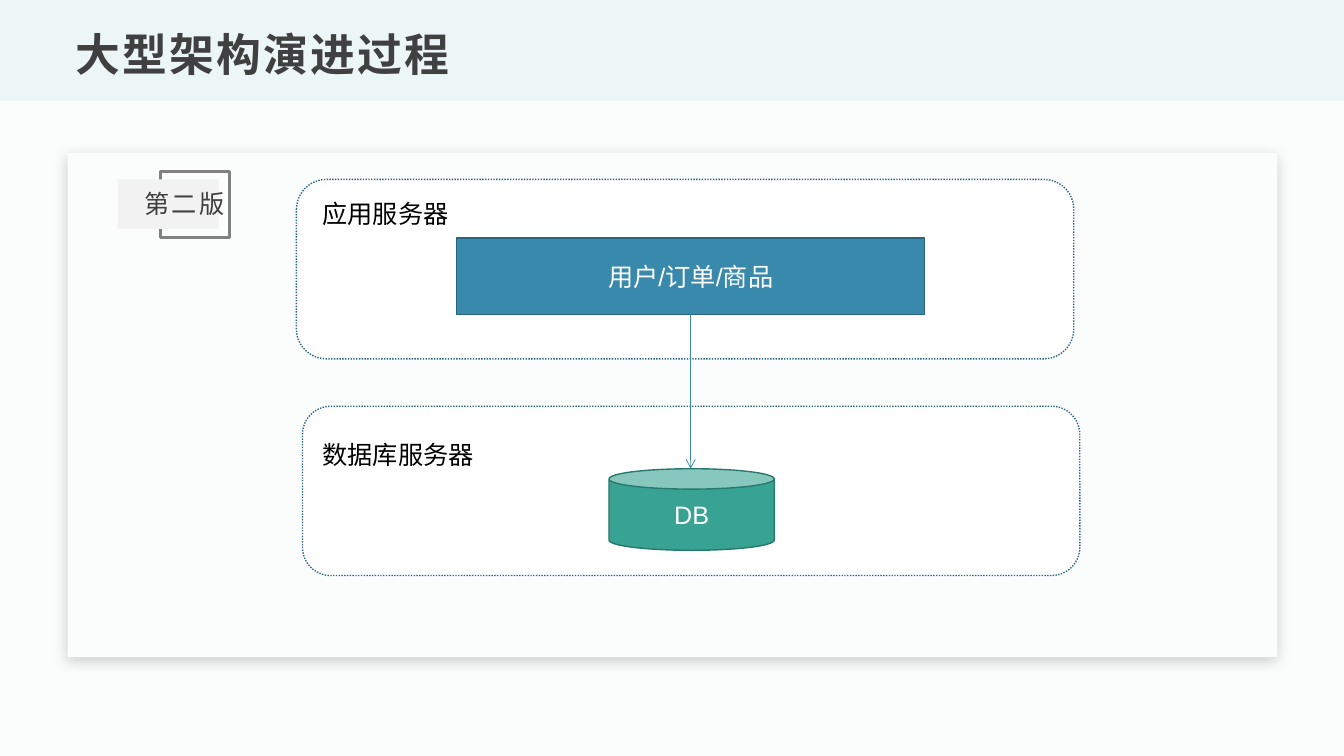
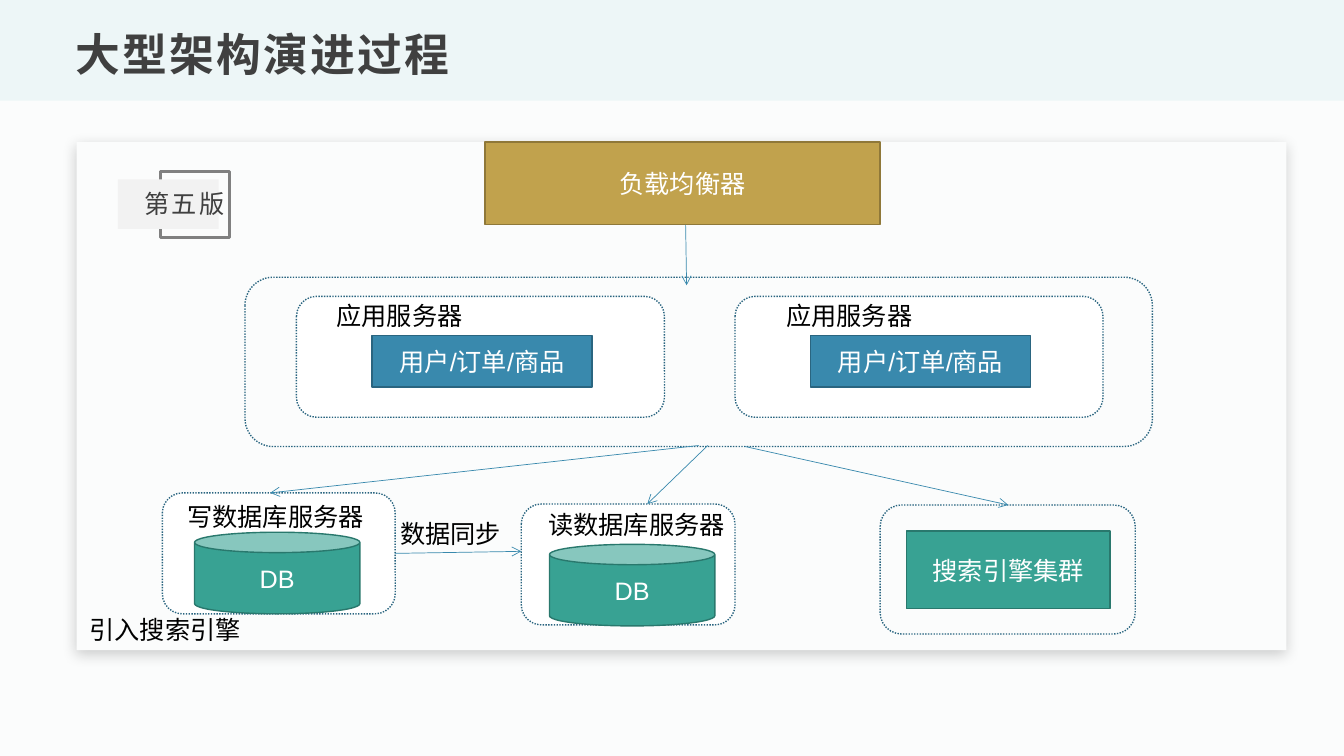
import pptx
import pptx.util
import pptx.dml.color
import pptx.enum.dml
import pptx.enum.shapes
import pptx.enum.text
import pptx.oxml
import pptx.oxml.ns

Inches, Pt = pptx.util.Inches, pptx.util.Pt
RGBColor = pptx.dml.color.RGBColor
SHAPE = pptx.enum.shapes.MSO_SHAPE
ANCHOR = pptx.enum.text.MSO_ANCHOR
FIT = pptx.enum.text.MSO_AUTO_SIZE
NS = pptx.oxml.ns.nsdecls("a")

BACKGROUND = RGBColor(0xFB, 0xFC, 0xFC)
BAND = RGBColor(0xED, 0xF6, 0xF7)
BADGE = RGBColor(0xF2, 0xF2, 0xF2)
GREY = RGBColor(0x80, 0x80, 0x80)
DARK = RGBColor(0x40, 0x40, 0x40)
BLACK = RGBColor(0x00, 0x00, 0x00)
WHITE = RGBColor(0xFF, 0xFF, 0xFF)
BLUE = RGBColor(0x39, 0x89, 0xAD)
BLUE_EDGE = RGBColor(0x2A, 0x65, 0x80)
GREEN = RGBColor(0x38, 0xA2, 0x93)
GREEN_EDGE = RGBColor(0x29, 0x78, 0x6D)
GOLD = RGBColor(0xC1, 0xA2, 0x4D)
GOLD_EDGE = RGBColor(0x8F, 0x78, 0x39)

# Style name: preset shape, fill, line colour, line width
STYLES = {
    "panel": (SHAPE.RECTANGLE, BACKGROUND, None, 0),
    "band": (SHAPE.RECTANGLE, BAND, None, 0),
    "badge frame": (SHAPE.RECTANGLE, None, GREY, 2),
    "badge": (SHAPE.RECTANGLE, BADGE, None, 0),
    "server": (SHAPE.ROUNDED_RECTANGLE, WHITE, BLUE_EDGE, 1),
    "cluster": (SHAPE.ROUNDED_RECTANGLE, None, BLUE_EDGE, 1),
    "app": (SHAPE.RECTANGLE, BLUE, BLUE_EDGE, 1),
    "balancer": (SHAPE.RECTANGLE, GOLD, GOLD_EDGE, 1),
    "search": (SHAPE.RECTANGLE, GREEN, GREEN_EDGE, 1),
    "db": (SHAPE.CAN, GREEN, GREEN_EDGE, 1),
}
SHADOW = (
    f'<a:effectLst {NS}><a:outerShdw blurRad="{Pt(10)}" dist="{Pt(3)}" dir="5400000" '
    'algn="t" rotWithShape="0"><a:srgbClr val="0D0D0D"><a:alpha val="20000"/>'
    '</a:srgbClr></a:outerShdw></a:effectLst>'
)

TITLE = "大型架构演进过程"
APP_TEXT = "用户/订单/商品"
DB_SIZE = (1.64, 0.81)

second = {
    "badge": "第二版",
    "panel": (0.67, 1.52, 12, 5),
    "shapes": [
        ("server", (2.94, 1.78, 7.71, 1.78), ""),
        ("server", (3, 4.03, 7.71, 1.68), ""),
        ("app", (4.53, 2.36, 4.64, 0.76), APP_TEXT),
        ("db", (6.04, 4.65, *DB_SIZE), "DB"),
    ],
    "arrows": [(6.85, 3.11, 6.85, 4.65)],
    "labels": [
        ("应用服务器", (3.1, 1.92, 2, 0.4)),
        ("数据库服务器", (3.1, 4.31, 1.94, 0.4)),
    ],
}
fifth = {
    "badge": "第五版",
    "panel": (0.76, 1.41, 12, 5.04),
    "shapes": [
        ("cluster", (2.43, 2.75, 9, 1.68), ""),
        ("balancer", (4.81, 1.41, 3.92, 0.82), "负载均衡器"),
        ("server", (5.17, 5, 2.12, 1.2), ""),
        ("db", (5.45, 5.4, *DB_SIZE), "DB"),
        ("server", (1.61, 4.89, 2.31, 1.2), ""),
        ("db", (1.93, 5.28, *DB_SIZE), "DB"),
        ("search", (8.99, 5.27, 2.02, 0.77), "搜索引擎集群"),
        ("cluster", (8.73, 5.01, 2.53, 1.28), ""),
    ],
    "arrows": [
        (6.8, 2.23, 6.81, 2.83),
        (6.93, 4.42, 2.68, 4.89),
        (7.02, 4.42, 6.42, 5),
        (7.39, 4.43, 10, 5.01),
        (3.92, 5.49, 5.17, 5.47),
    ],
    "labels": [
        ("引入搜索引擎", (0.79, 6.05, 11.76, 0.4)),
        ("读数据库服务器", (5.34, 5, 2.16, 0.4)),
        ("写数据库服务器", (1.76, 4.92, 2.16, 0.4)),
        ("数据同步", (3.87, 5.09, 1.3, 0.4)),
    ],
}
for server_left, label_left in ((2.94, 3.24), (7.29, 7.7)):
    fifth["shapes"] += [
        ("server", (server_left, 2.94, 3.65, 1.2), ""),
        ("app", (server_left + 0.75, 3.33, 2.18, 0.51), APP_TEXT),
    ]
    fifth["labels"].append(("应用服务器", (label_left, 2.93, 2, 0.4)))


def add_text(tf, text, color, size=18, font="Arial", bold=False, spacing=0):
    """Put one run into the first paragraph and return that paragraph."""
    p = tf.paragraphs[0]
    r = p.add_run()
    r.text = text
    r.font.size, r.font.name, r.font.bold = Pt(size), font, bold
    r.font.color.rgb = color
    rPr = r.font._element
    if spacing:
        rPr.set("spc", str(round(spacing * 100)))
    if font != "Arial":
        rPr.append(pptx.oxml.parse_xml(f'<a:ea {NS} typeface="{font}"/>'))
    return p


def add_styled(s, style, at, text=""):
    """Add a shape in one of STYLES, with centred white text if any."""
    preset, fill, edge, width = STYLES[style]
    sp = s.shapes.add_shape(preset, *map(Inches, at))
    sp.shadow.inherit = False
    if fill is None:
        sp.fill.background()
    else:
        sp.fill.solid()
        sp.fill.fore_color.rgb = fill
    if edge is None:
        sp.line.fill.background()
    else:
        sp.line.color.rgb = edge
        sp.line.width = Pt(width)
    if preset == SHAPE.ROUNDED_RECTANGLE:
        sp.line.dash_style = pptx.enum.dml.MSO_LINE.ROUND_DOT
    if text:
        sp.text_frame.vertical_anchor = ANCHOR.MIDDLE
        p = add_text(sp.text_frame, text, WHITE)
        p.alignment = pptx.enum.text.PP_ALIGN.CENTER
    return sp


prs = pptx.Presentation()
prs.slide_width, prs.slide_height = Inches(13.33), Inches(7.5)
master_fill = prs.slide_master.background.fill
master_fill.solid()
master_fill.fore_color.rgb = BACKGROUND

for version in (second, fifth):
    s = prs.slides.add_slide(prs.slide_layouts[6])

    panel = add_styled(s, "panel", version["panel"])
    spPr = panel._element.spPr
    spPr.remove(spPr.find(pptx.oxml.ns.qn("a:effectLst")))
    spPr.append(pptx.oxml.parse_xml(SHADOW))
    add_styled(s, "band", (0, 0, 13.33, 1))
    add_styled(s, "badge frame", (1.59, 1.7, 0.69, 0.66))
    add_styled(s, "badge", (1.17, 1.78, 1, 0.49))

    badge = s.shapes.add_textbox(*map(Inches, (1.35, 1.83, 0.98, 0.38))).text_frame
    title = s.shapes.add_textbox(*map(Inches, (0.67, 0.17, 12, 0.67))).text_frame
    for tf in (badge, title):
        tf.margin_left = tf.margin_right = Inches(0.08)
        tf.margin_top = tf.margin_bottom = Inches(0.04)
    badge.word_wrap = False
    badge.auto_size = FIT.SHAPE_TO_FIT_TEXT
    p = add_text(badge, version["badge"], DARK, font="Noto Sans CJK SC", spacing=1.8)
    p.space_before = Pt(8)
    title.word_wrap = True
    title.vertical_anchor = ANCHOR.BOTTOM
    add_text(title, TITLE, DARK, size=32, bold=True, spacing=1.5)

    for style, at, text in version["shapes"]:
        add_styled(s, style, at, text)

    for ends in version["arrows"]:
        arrow = s.shapes.add_connector(
            pptx.enum.shapes.MSO_CONNECTOR.STRAIGHT, *map(Inches, ends))
        arrow.line.color.rgb = BLUE
        arrow.line.width = Pt(0.5)
        arrow.line._get_or_add_ln().append(
            pptx.oxml.parse_xml(f'<a:tailEnd {NS} type="arrow"/>'))
        arrow._element.spPr.append(pptx.oxml.parse_xml(f"<a:effectLst {NS}/>"))

    for text, at in version["labels"]:
        tf = s.shapes.add_textbox(*map(Inches, at)).text_frame
        tf.word_wrap = True
        tf.auto_size = FIT.SHAPE_TO_FIT_TEXT
        add_text(tf, text, BLACK)

prs.save("out.pptx")
